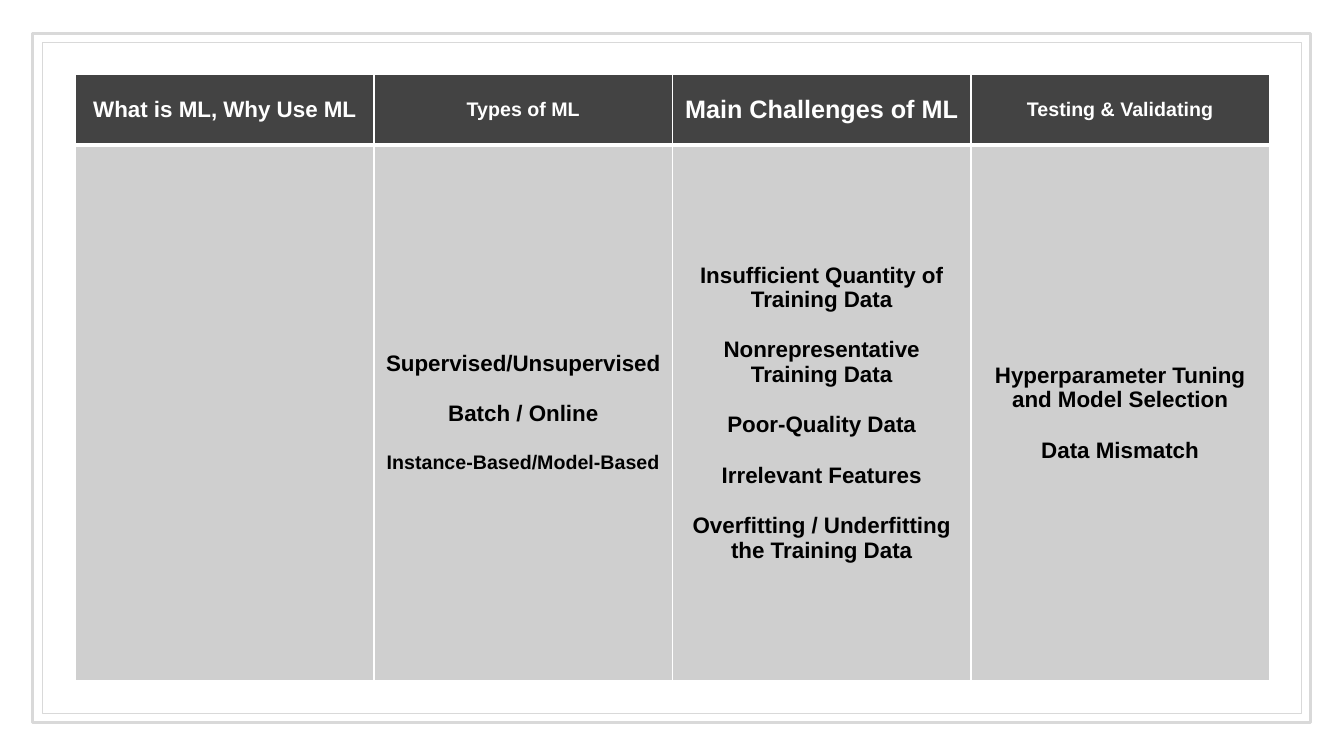
from lxml.etree import SubElement
from pptx import Presentation
from pptx.dml.color import RGBColor
from pptx.enum.shapes import MSO_SHAPE
from pptx.enum.text import MSO_ANCHOR, PP_ALIGN
from pptx.oxml.ns import qn
from pptx.util import Pt

PX = 9144  # 100 px to the inch
COLORS = {
    "frame": "D9D9D9",
    "header": "434343",
    "body": "CFCFCF",
    "white": "FFFFFF",
    "black": "000000",
}
FONT = "Arial"
TOPIC_GAP = 18  # points between topics in a cell

# Each column: header, then its topics, as (text, size)
COLUMNS = [
    (("What is ML, Why Use ML", 16), []),
    (("Types of ML", 14), [
        ("Supervised/Unsupervised", 16),
        ("Batch / Online", 16),
        ("Instance-Based/Model-Based", 14),
    ]),
    (("Main Challenges of ML", 18), [
        ("Insufficient Quantity of Training Data", 16),
        ("Nonrepresentative Training Data", 16),
        ("Poor-Quality Data", 16),
        ("Irrelevant Features", 16),
        ("Overfitting / Underfitting the Training Data", 16),
    ]),
    (("Testing & Validating", 14), [
        ("Hyperparameter Tuning and Model Selection", 16),
        ("Data Mismatch", 16),
    ]),
]


def rgb(name):
    return RGBColor.from_string(COLORS[name])


def emu(box):
    return [v * PX for v in box]


def add_frame(s, box, weight):
    sp = s.shapes.add_shape(MSO_SHAPE.RECTANGLE, *emu(box))
    sp.shadow.inherit = False
    sp.fill.background()
    sp.line.color.rgb = rgb("frame")
    sp.line.width = Pt(weight)


def set_borders(cell, **weights):
    tcPr = cell._tc.get_or_add_tcPr()
    for side in "LRTB":
        ln = SubElement(tcPr, qn(f"a:ln{side}"), w=str(Pt(weights.get(side, 1))))
        fill = SubElement(ln, qn("a:solidFill"))
        SubElement(fill, qn("a:srgbClr"), val=COLORS["white"])


def fill_cell(cell, fill, color, lines):
    cell.fill.solid()
    cell.fill.fore_color.rgb = rgb(fill)
    cell.vertical_anchor = MSO_ANCHOR.MIDDLE
    tf = cell.text_frame
    tf.text = "\n".join(text for text, _ in lines)
    for i, (p, (_, size)) in enumerate(zip(tf.paragraphs, lines)):
        p.alignment = PP_ALIGN.CENTER
        p.space_before = Pt(TOPIC_GAP if i else 0)
        for r in p.runs:
            r.font.name = FONT
            r.font.size = Pt(size)
            r.font.bold = True
            r.font.color.rgb = rgb(color)


def add_topic_table(s, box, header_height):
    x, y, w, h = box
    table = s.shapes.add_table(2, len(COLUMNS), *emu(box)).table
    table.horz_banding = False
    table.rows[0].height = header_height * PX
    table.rows[1].height = (h - header_height) * PX
    for i, (header, topics) in enumerate(COLUMNS):
        table.columns[i].width = w * PX // len(COLUMNS)
        head, body = table.cell(0, i), table.cell(1, i)
        # A thick rule parts the header from the topics
        set_borders(head, B=3)
        set_borders(body, T=3)
        fill_cell(head, "header", "white", [header])
        fill_cell(body, "body", "black", topics)


def build_slide(prs):
    s = prs.slides.add_slide(prs.slide_layouts[6])
    # Double frame
    add_frame(s, (32, 33, 1268, 684), 2.25)
    add_frame(s, (42, 42, 1249, 666), 0.75)
    # Topics by column
    add_topic_table(s, (75, 74, 1184, 601), 70)


def main():
    prs = Presentation()
    prs.slide_width, prs.slide_height = emu((1333, 750))
    build_slide(prs)
    prs.save("out.pptx")


if __name__ == "__main__":
    main()
